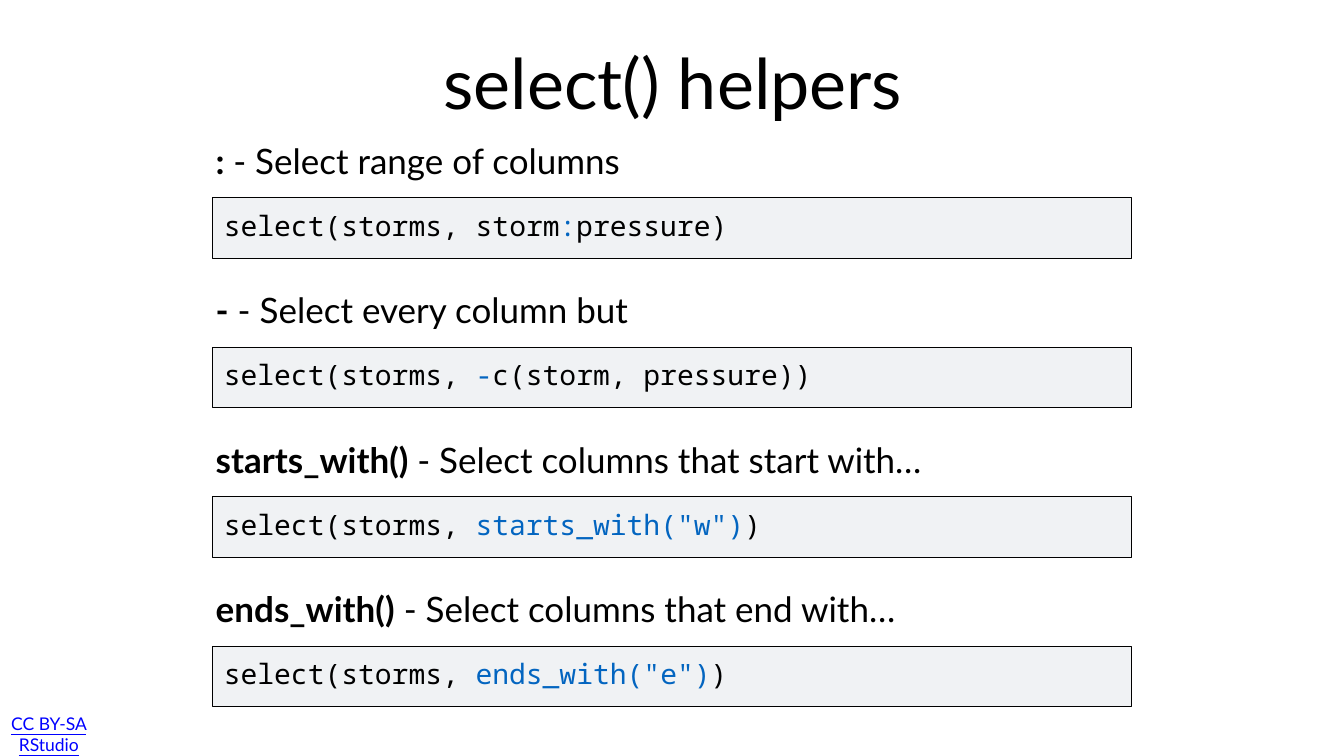
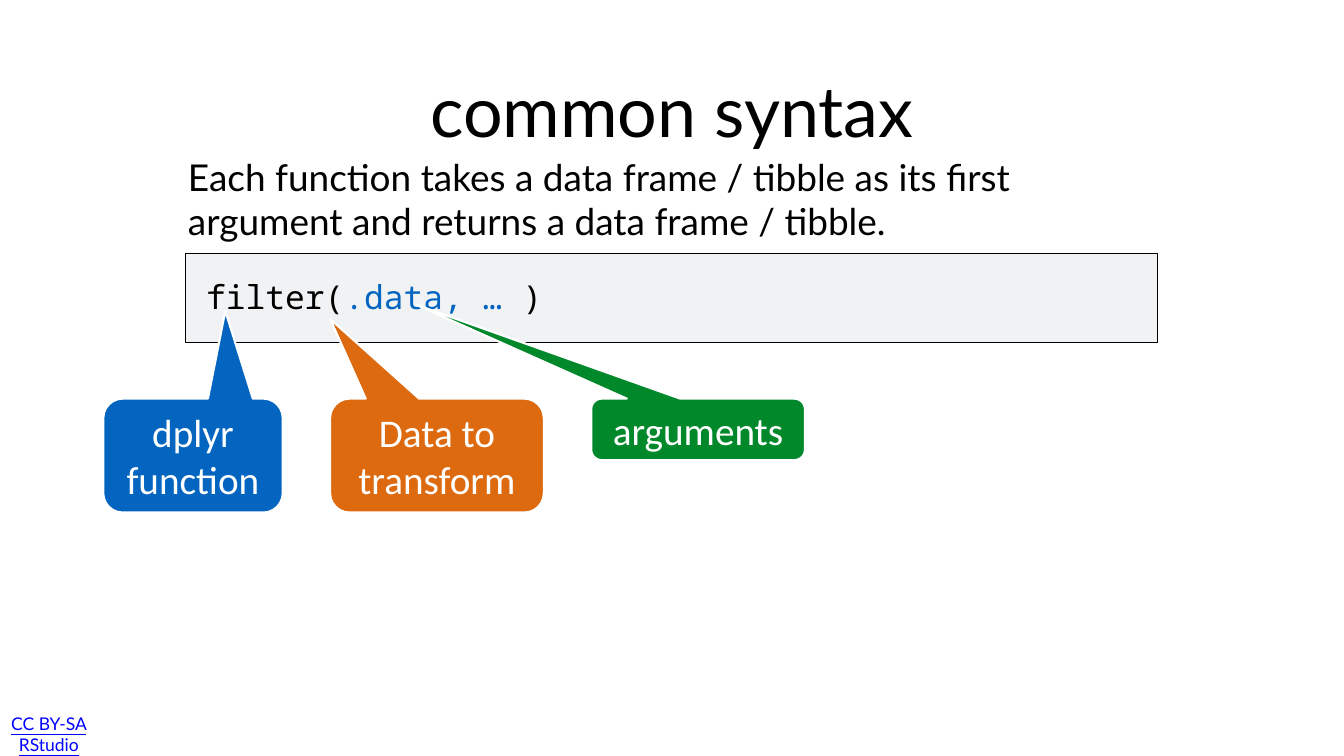
from dataclasses import dataclass
from typing import NamedTuple

from pptx import Presentation
from pptx.dml.color import RGBColor
from pptx.enum.shapes import MSO_SHAPE as Preset
from pptx.enum.text import MSO_ANCHOR as Anchor, MSO_AUTO_SIZE as AutoSize, PP_ALIGN as Align
from pptx.oxml.ns import qn
from pptx.util import Pt

BLACK = RGBColor(0x00, 0x00, 0x00)
WHITE = RGBColor(0xFF, 0xFF, 0xFF)
BLUE = RGBColor(0x03, 0x65, 0xC0)
ORANGE = RGBColor(0xDE, 0x6A, 0x10)
GREEN = RGBColor(0x00, 0x88, 0x2B)
CODE_GREY = RGBColor(0xF0, 0xF2, 0xF4)
LINK_BLUE = RGBColor(0x00, 0x00, 0xFF)

PROSE, CODE, CALLOUT = "Lato", "Noto Sans Mono", "Calibri"


class Box(NamedTuple):
    left: float
    top: float
    width: float
    height: float

    def lengths(self) -> list:
        return [Pt(value) for value in self]

    def down(self, distance: float) -> "Box":
        return self._replace(top=self.top + distance)


class Span(NamedTuple):
    text: str
    color: RGBColor | None = None
    bold: bool = False


@dataclass
class Helper:
    name: str
    purpose: str
    code: list[Span]


@dataclass
class Callout:
    label: str
    box: Box
    tip: tuple[float, float]
    color: RGBColor


HELPERS = [
    Helper(": ", "- Select range of columns",
           [Span("select(storms, storm"), Span(":", BLUE), Span("pressure)")]),
    Helper("-", " - Select every column but",
           [Span("select(storms, "), Span("-", BLUE), Span("c(storm, pressure))")]),
    Helper("starts_with() ", "- Select columns that start with…",
           [Span("select(storms, "), Span('starts_with("w")', BLUE), Span(")")]),
    Helper("ends_with()", " - Select columns that end with…",
           [Span("select(storms, "), Span('ends_with("e")', BLUE), Span(")")]),
]
HELPER_PITCH = 213.6

CALLOUT_TOP = 569.5
CALLOUTS = [
    Callout("dplyr function", Box(147.6, CALLOUT_TOP, 256.3, 162.7), (0.18, -1.27), BLUE),
    Callout("Data to transform", Box(471.6, CALLOUT_TOP, 305.3, 162.7), (-0.5, -1.2), ORANGE),
    Callout("arguments", Box(844.6, CALLOUT_TOP, 305.3, 87.8), (-1.32, -2.03), GREEN),
]


def write_text(shape, spans: list[Span], *, size: float, font: str = PROSE,
               color: RGBColor = BLACK, align=Align.LEFT, anchor=Anchor.MIDDLE,
               inset: float = 4.3, right_inset: float | None = None,
               underline: bool = False, plain: bool = False) -> None:
    """Fill a shape with one paragraph; plain drops an inherited bullet and indent."""
    frame = shape.text_frame
    frame.word_wrap = True
    frame.auto_size = AutoSize.NONE
    frame.vertical_anchor = anchor
    frame.margin_left = frame.margin_top = frame.margin_bottom = Pt(inset)
    frame.margin_right = Pt(inset if right_inset is None else right_inset)
    paragraph = frame.paragraphs[0]
    if plain:
        properties = paragraph._p.get_or_add_pPr()
        properties.set("marL", "0")
        properties.set("indent", "0")
        properties.append(properties.makeelement(qn("a:buNone"), {}))
    paragraph.alignment = align
    paragraph.space_before = Pt(0)
    for span in spans:
        run = paragraph.add_run()
        run.text = span.text
        run.font.name = font
        run.font.size = Pt(size)
        run.font.bold = span.bold
        run.font.underline = underline
        run.font.color.rgb = span.color or color


def place(shape, box: Box) -> None:
    shape.left, shape.top, shape.width, shape.height = box.lengths()


def add_panel(shapes, preset, box: Box, fill: RGBColor, line: RGBColor, line_width: float):
    panel = shapes.add_shape(preset, *box.lengths())
    panel.shadow.inherit = False
    panel.fill.solid()
    panel.fill.fore_color.rgb = fill
    panel.line.color.rgb = line
    panel.line.width = Pt(line_width)
    return panel


def add_code(shapes, frame: Box, text_box: Box, code: list[Span], size: float) -> None:
    add_panel(shapes, Preset.RECTANGLE, frame, CODE_GREY, BLACK, 1)
    write_text(shapes.add_textbox(*text_box.lengths()), code,
               size=size, font=CODE, anchor=Anchor.TOP)


def add_helper(slide, helper: Helper, offset: float) -> None:
    shapes = slide.shapes.add_group_shape().shapes
    heading = shapes.add_textbox(*Box(303.9, 172.8, 1312.6, 112.3).down(offset).lengths())
    write_text(heading, [Span(helper.name, bold=True), Span(helper.purpose)], size=50)
    add_code(shapes, Box(303.9, 282.3, 1311.8, 86.4).down(offset),
             Box(315.4, 293.2, 1241.3, 70.6).down(offset), helper.code, 40)


def add_callout(slide, callout: Callout) -> None:
    bubble = add_panel(slide.shapes, Preset.ROUNDED_RECTANGULAR_CALLOUT,
                       callout.box, callout.color, WHITE, 3)
    for index, value in enumerate((*callout.tip, 0.17)):
        bubble.adjustments[index] = value
    write_text(bubble, [Span(callout.label)], size=56, font=CALLOUT, color=WHITE,
               align=Align.CENTER, inset=5.8)


def add_titled_slide(deck, layout: int, title: str, title_box: Box):
    slide = deck.slides.add_slide(deck.slide_layouts[layout])
    place(slide.shapes.title, title_box)
    write_text(slide.shapes.title, [Span(title)], size=100, align=Align.CENTER)
    # Licence footer; the wide right inset breaks it into two lines
    licence = slide.shapes.add_textbox(*Box(8.6, 1026.7, 191.5, 43.2).lengths())
    write_text(licence, [Span("CC BY-SA RStudio")], size=25, color=LINK_BLUE,
               align=Align.CENTER, inset=5.8, right_inset=75, underline=True)
    return slide


def build_helpers_slide(deck) -> None:
    slide = add_titled_slide(deck, 5, "select() helpers", Box(316.8, 21.6, 1288.8, 188.6))
    for row, helper in enumerate(HELPERS):
        add_helper(slide, helper, row * HELPER_PITCH)


def build_syntax_slide(deck) -> None:
    slide = add_titled_slide(deck, 1, "common syntax", Box(315.4, 61.9, 1288.8, 188.6))
    summary = slide.placeholders[1]
    place(summary, Box(264.2, 213.8, 1390.3, 140.4))
    write_text(summary, [Span("Each function takes a data frame / tibble as its first "
                              "argument and returns a data frame / tibble.")],
               size=52.8, plain=True)
    add_code(slide.shapes, Box(265, 362.2, 1388.9, 127.4), Box(290.2, 391, 1241.3, 112.3),
             [Span("filter("), Span(".data, … ", BLUE), Span(")")], 47)
    for callout in CALLOUTS:
        add_callout(slide, callout)


def main() -> None:
    deck = Presentation()
    deck.slide_width, deck.slide_height = Pt(1920), Pt(1080)
    build_helpers_slide(deck)
    build_syntax_slide(deck)
    deck.save("out.pptx")


if __name__ == "__main__":
    main()
